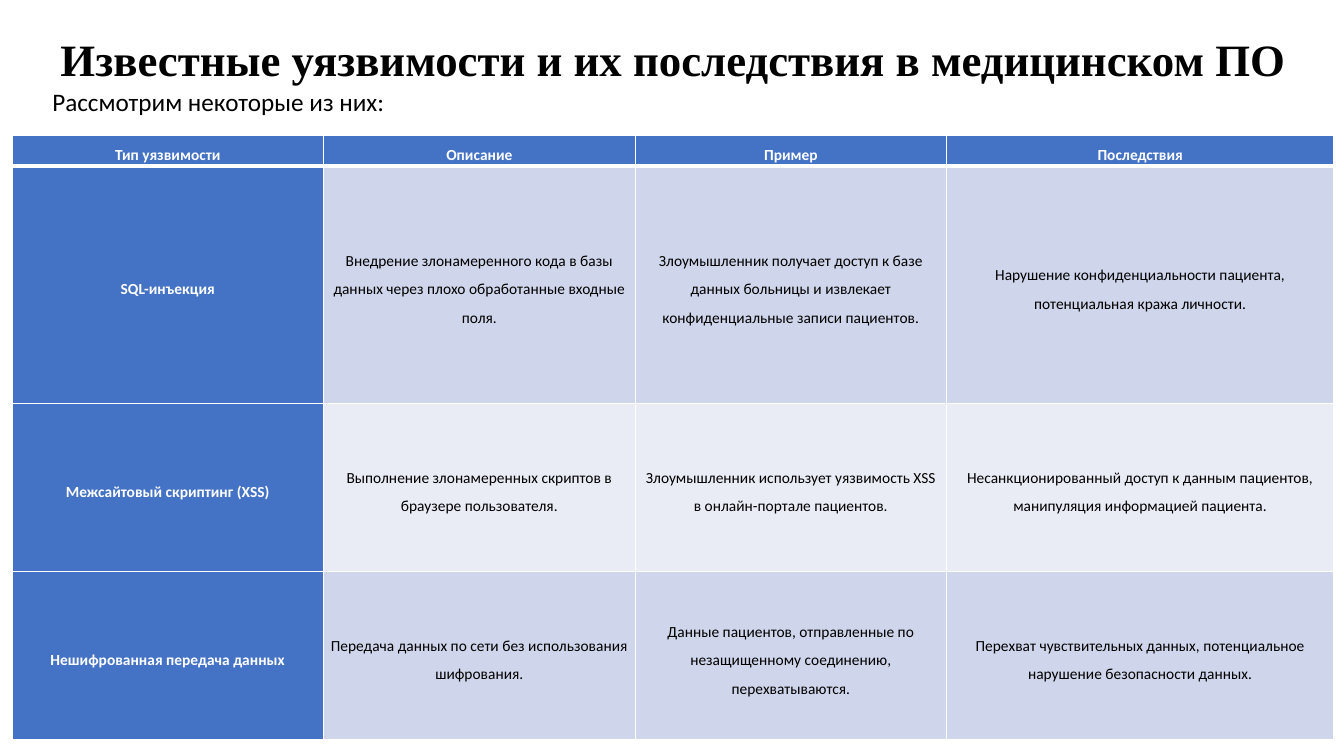
import pptx
import pptx.dml.color
import pptx.enum.text
import pptx.oxml.ns
import pptx.util
from lxml import etree

Inches = pptx.util.Inches
Pt = pptx.util.Pt
PP_ALIGN = pptx.enum.text.PP_ALIGN
ANCHOR = pptx.enum.text.MSO_ANCHOR
AUTO_SIZE = pptx.enum.text.MSO_AUTO_SIZE
qn = pptx.oxml.ns.qn

COLORS = {
    "text": "000000",
    "white": "FFFFFF",
    "header": "4472C4",
    "band_dark": "CFD5EA",
    "band_light": "E9EBF5",
}

COLUMN_WIDTHS = [3.09, 3.09, 3.09, 3.84]
ROW_HEIGHTS = [0.31, 2.35, 1.67, 1.67]
VULNERABILITIES = [
    ["Тип уязвимости", "Описание", "Пример", "Последствия"],
    ["SQL-инъекция",
     "Внедрение злонамеренного кода в базы данных через плохо обработанные входные поля.",
     "Злоумышленник получает доступ к базе данных больницы и извлекает "
     "конфиденциальные записи пациентов.",
     "Нарушение конфиденциальности пациента, потенциальная кража личности."],
    ["Межсайтовый скриптинг (XSS)",
     "Выполнение злонамеренных скриптов в браузере пользователя.",
     "Злоумышленник использует уязвимость XSS в онлайн-портале пациентов.",
     "Несанкционированный доступ к данным пациентов, манипуляция информацией пациента."],
    ["Нешифрованная передача данных",
     "Передача данных по сети без использования шифрования.",
     "Данные пациентов, отправленные по незащищенному соединению, перехватываются.",
     "Перехват чувствительных данных, потенциальное нарушение безопасности данных."],
]


def rgb(name):
    return pptx.dml.color.RGBColor.from_string(COLORS[name])


def set_attrs(obj, values):
    for name, value in values.items():
        setattr(obj, name, value)


def write_text(tf, text, color, font, paragraph):
    p = tf.paragraphs[0]
    set_attrs(p, paragraph)
    r = p.add_run()
    r.text = text
    set_attrs(r.font, font)
    r.font.color.rgb = rgb(color)
    return p


def set_borders(cell, widths):
    tcPr = cell._tc.get_or_add_tcPr()
    for side, width in widths.items():
        ln = etree.SubElement(tcPr, qn(f"a:ln{side}"), w=str(Pt(width)))
        fill = etree.SubElement(ln, qn("a:solidFill"))
        etree.SubElement(fill, qn("a:srgbClr"), val=COLORS["white"])


def add_title(s, left, top, width, height):
    sp = s.shapes.title
    set_attrs(sp, {"left": Inches(left), "top": Inches(top),
                   "width": Inches(width), "height": Inches(height)})
    tf = sp.text_frame
    set_attrs(tf, {"word_wrap": True, "auto_size": AUTO_SIZE.SHAPE_TO_FIT_TEXT,
                   "vertical_anchor": ANCHOR.TOP})
    p = write_text(tf, "Известные уязвимости и их последствия в медицинском ПО", "text",
                   {"name": "Times New Roman", "size": Pt(32), "bold": True},
                   {"alignment": PP_ALIGN.LEFT, "line_spacing": 1.5, "space_before": Pt(0)})
    # Left indent of the heading
    pPr = p._p.get_or_add_pPr()
    pPr.set("marL", str(Inches(0.5)))
    pPr.set("indent", "0")


def add_intro(s, left, top, width, height):
    sp = s.shapes.add_textbox(Inches(left), Inches(top), Inches(width), Inches(height))
    tf = sp.text_frame
    set_attrs(tf, {"word_wrap": True, "auto_size": AUTO_SIZE.SHAPE_TO_FIT_TEXT})
    write_text(tf, "Рассмотрим некоторые из них:", "text",
               {"name": "Calibri", "size": Pt(18)}, {"alignment": PP_ALIGN.LEFT})


def add_vulnerability_table(s, left, top):
    table = s.shapes.add_table(
        len(ROW_HEIGHTS), len(COLUMN_WIDTHS), Inches(left), Inches(top),
        Inches(sum(COLUMN_WIDTHS)), Inches(sum(ROW_HEIGHTS))).table
    table.first_col = True
    for column, width in zip(table.columns, COLUMN_WIDTHS):
        column.width = Inches(width)
    for row, height in zip(table.rows, ROW_HEIGHTS):
        row.height = Inches(height)

    for i, texts in enumerate(VULNERABILITIES):
        for j, text in enumerate(texts):
            cell = table.cell(i, j)
            heading = i == 0 or j == 0
            band = "band_dark" if i % 2 else "band_light"
            set_attrs(cell, {"margin_left": Inches(0.07), "margin_right": Inches(0.07),
                             "margin_top": 0, "margin_bottom": 0,
                             "vertical_anchor": ANCHOR.MIDDLE})
            # A thicker rule separates the header from the body
            set_borders(cell, {"L": 1, "R": 1, "T": 3 if i == 1 else 1,
                               "B": 3 if i == 0 else 1})
            cell.fill.solid()
            cell.fill.fore_color.rgb = rgb("header" if heading else band)
            write_text(cell.text_frame, text, "white" if heading else "text",
                       {"name": "Calibri", "size": Pt(11), "bold": heading},
                       {"alignment": PP_ALIGN.CENTER, "line_spacing": 1.5,
                        "space_after": Pt(8)})


def main():
    prs = pptx.Presentation()
    prs.slide_width = Inches(13.33)
    prs.slide_height = Inches(7.5)
    s = prs.slides.add_slide(prs.slide_layouts[5])
    add_title(s, 0, 0, 13.33, 0.81)
    add_vulnerability_table(s, 0.12, 1.34)
    add_intro(s, 0.42, 0.81, 12.05, 0.4)
    prs.save("out.pptx")


if __name__ == "__main__":
    main()
